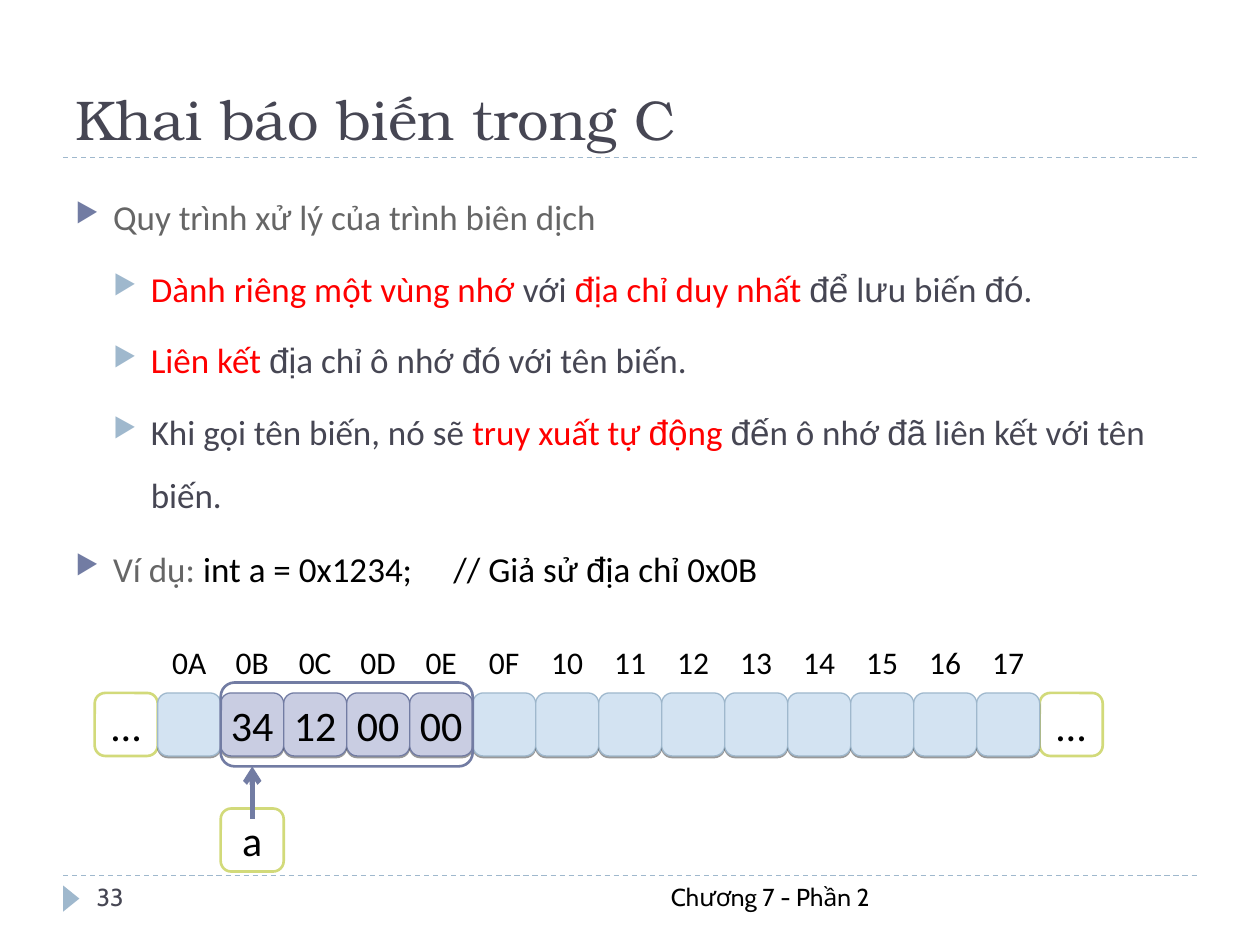
from lxml import etree
from pptx import Presentation
from pptx.dml.color import RGBColor
from pptx.enum import dml, shapes, text
from pptx.oxml import ns
from pptx.util import Cm, Pt

INK = RGBColor(0x46, 0x46, 0x53)
GREY = RGBColor(0x66, 0x66, 0x66)
RED = RGBColor(0xFF, 0x00, 0x00)
BLACK = RGBColor(0x00, 0x00, 0x00)
WHITE = RGBColor(0xFF, 0xFF, 0xFF)
INDIGO = RGBColor(0x72, 0x7C, 0xA3)
LILAC = RGBColor(0xC9, 0xCD, 0xE2)
STEEL = RGBColor(0x9F, 0xB8, 0xCD)
SKY = RGBColor(0xD3, 0xE3, 0xF2)
LIME = RGBColor(0xD2, 0xDA, 0x7A)

CELL = 1.27  # side of a memory cell, in cm
INCH = 2.54  # step between tab stops, in cm

# Parts between ~ marks are set in the second font
BODY_FONTS = ("Calibri", "Arial")
BODY = [
    (0, [("Quy trình xử lý của trình biên dịch", GREY)]),
    (1, [("Dành riêng một vùng nhớ", RED), (" với ", INK),
         ("~đị~a chỉ duy nhất ", RED), ("~để~ l~ư~u biến ~đó~.", INK)]),
    (1, [("Liên kết ", RED), ("~đị~a chỉ ô nhớ ~đó~ với tên biến.", INK)]),
    (1, [("Khi gọi tên biến, nó sẽ ", INK), ("truy xuất tự ~độ~ng ", RED),
         ("~đế~n ô nhớ ~đã~ liên kết với tên biến.", INK)]),
    (0, [("Ví dụ:", GREY), (" int a = 0x1234;\t// Giả sử ~đ~ịa chỉ 0x0B", BLACK)]),
]
ADDRESSES = ["0A", "0B", "0C", "0D", "0E", "0F"] + [str(n) for n in range(10, 18)]
VALUES = {"0B": "34", "0C": "12", "0D": "00", "0E": "00"}


def add_element(parent, tag, **attributes):
    return etree.SubElement(parent, ns.qn(tag), attributes)


def apply(target, **values):
    for name, value in values.items():
        setattr(target, name, value)


def write(para, wording, **font):
    span = para.add_run()
    span.text = wording
    color = font.pop("color")
    apply(span.font, **font)
    span.font.color.rgb = color


def add_line(page, start, end, color, width):
    line = page.shapes.add_connector(
        shapes.MSO_CONNECTOR.STRAIGHT, *[Cm(n) for n in (*start, *end)])
    apply(line.line, width=Pt(width))
    line.line.color.rgb = color
    add_element(line._element.spPr, "a:effectLst")
    return line


def add_box(page, box, fill=None, line=None, width=1.5, wording="", size=24,
            shadow=False):
    shape = page.shapes.add_shape(
        shapes.MSO_SHAPE.ROUNDED_RECTANGLE, *[Cm(n) for n in box])
    if fill is None:
        shape.fill.background()
    else:
        shape.fill.solid()
        shape.fill.fore_color.rgb = fill
    if line is None:
        shape.line.fill.background()
    else:
        shape.line.color.rgb = line
        shape.line.width = Pt(width)
    shape.shadow.inherit = False
    if shadow:
        effects = shape._element.spPr.find(ns.qn("a:effectLst"))
        cast = add_element(effects, "a:outerShdw", blurRad="0", dist="12700",
                           dir="5400000", rotWithShape="0")
        add_element(add_element(cast, "a:srgbClr", val=str(BLACK)),
                    "a:alpha", val="40000")
    if wording:
        apply(shape.text_frame, word_wrap=False,
              vertical_anchor=text.MSO_ANCHOR.MIDDLE)
        para = shape.text_frame.paragraphs[0]
        para.alignment = text.PP_ALIGN.CENTER
        write(para, wording, size=Pt(size), name="Calibri", color=BLACK)


def add_text(page, box):
    shape = page.shapes.add_textbox(*[Cm(n) for n in box])
    shape.text_frame.word_wrap = True
    return shape.text_frame


def add_rule(page, left, top, width):
    rule = add_line(page, (left, top), (left + width, top), STEEL, 0.75)
    rule.line.dash_style = dml.MSO_LINE.DASH


def build_title(page, box):
    left, top, width, height = box
    title = page.shapes.title
    apply(title, left=Cm(left), top=Cm(top), width=Cm(width), height=Cm(height))
    title.text_frame.vertical_anchor = text.MSO_ANCHOR.BOTTOM
    para = title.text_frame.paragraphs[0]
    para.alignment = text.PP_ALIGN.LEFT
    write(para, "Khai báo biến trong C", size=Pt(32), name="TeX Gyre Bonum", color=INK)
    add_rule(page, left, top + height, width)


def format_bullet(para, level, color):
    properties = para._p.get_or_add_pPr()
    properties.set("marL", str(Cm(0.76 * (level + 1))))
    properties.set("indent", str(Cm(-0.76)))
    add_element(add_element(properties, "a:buClr"), "a:srgbClr", val=str(color))
    add_element(properties, "a:buSzPct", val="76000")
    add_element(properties, "a:buChar", char="▶")
    tabs = add_element(properties, "a:tabLst")
    for stop in range(1, 9):
        add_element(tabs, "a:tab", pos=str(Cm(INCH * stop)), algn="l")


def build_body(page, box):
    frame = add_text(page, box)
    for index, (level, spans) in enumerate(BODY):
        para = frame.add_paragraph() if index else frame.paragraphs[0]
        format_bullet(para, level, (INDIGO, STEEL)[level])
        apply(para, level=level, line_spacing=1.5)
        if index:
            para.space_before = Pt((6, 5)[level])
        for wording, color in spans:
            for turn, part in enumerate(wording.split("~")):
                if part:
                    write(para, part, size=Pt(20), name=BODY_FONTS[turn % 2], color=color)


def build_memory(page, box):
    left, top, width, height = box
    row = top + CELL

    # Ends of the strip
    for x in (left, left + width - CELL):
        add_box(page, (x, row, CELL, CELL), WHITE, LIME, wording="…")

    # Addresses and cells
    for column, address in enumerate(ADDRESSES, start=1):
        x = left + column * CELL
        value = VALUES.get(address, "")
        fill, line = (LILAC, INDIGO) if value else (SKY, STEEL)
        add_box(page, (x, top, CELL, CELL), wording=address, size=18)
        add_box(page, (x, row, CELL, CELL), fill, line, 0.75, value, shadow=True)

    # Variable name, arrow and frame round its bytes
    x = left + 2 * CELL
    add_box(page, (x, top + height - CELL, CELL, CELL), WHITE, LIME, wording="a")
    middle = x + CELL / 2
    arrow = add_line(page, (middle, top + 3.81), (middle, top + 2.75), INDIGO, 3)
    add_element(arrow.line._get_or_add_ln(), "a:tailEnd", type="arrow")
    add_box(page, (x, row - 0.21, len(VALUES) * CELL, CELL + 0.42), line=INDIGO)


def build_footer(page, box):
    left, top, width, height = box
    add_rule(page, left, top, width)

    # Page marker
    marker = page.shapes.add_shape(
        shapes.MSO_SHAPE.ISOSCELES_TRIANGLE,
        Cm(left - 0.1), Cm(top + 0.3), Cm(0.53), Cm(0.33))
    marker.rotation = 90
    marker.fill.solid()
    marker.fill.fore_color.rgb = STEEL
    marker.line.fill.background()
    marker.shadow.inherit = False

    # Page number and chapter
    for x, w, wording, color, align in (
            (0.43, 5.5, "33", INK, text.PP_ALIGN.LEFT),
            (6.78, 9.73, "Chương 7 - Phần 2", BLACK, text.PP_ALIGN.RIGHT)):
        para = add_text(page, (left + x, top, w, height)).paragraphs[0]
        para.alignment = align
        write(para, wording, size=Pt(14), name="Cabin", color=color)


def main():
    deck = Presentation()
    apply(deck, slide_width=Cm(25.4), slide_height=Cm(19.05))
    page = deck.slides.add_slide(deck.slide_layouts[5])
    build_title(page, (1.27, 0.43, 22.86, 2.75))
    build_body(page, (1.27, 3.39, 22.86, 13.72))
    build_memory(page, (1.91, 12.7, 16 * CELL, 4.87))
    build_footer(page, (1.27, 17.65, 22.86, 1.02))
    deck.save("out.pptx")


if __name__ == "__main__":
    main()
